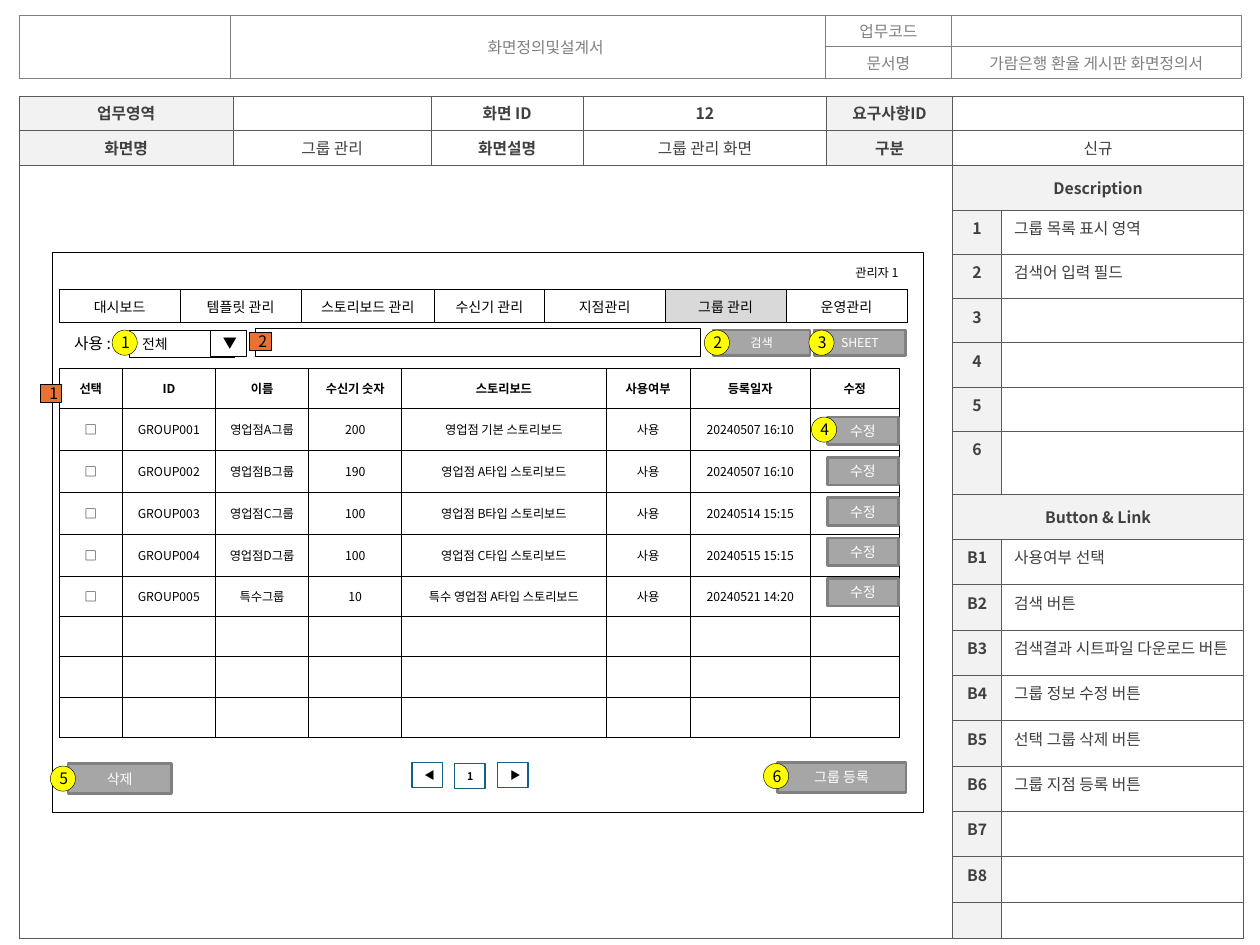
from lxml import etree
from pptx import Presentation
from pptx.dml.color import RGBColor
from pptx.enum.shapes import MSO_SHAPE
from pptx.enum.text import MSO_ANCHOR, PP_ALIGN
from pptx.oxml.ns import qn
from pptx.util import Inches, Pt

RECT, OVAL = MSO_SHAPE.RECTANGLE, MSO_SHAPE.OVAL
TOP, MIDDLE = MSO_ANCHOR.TOP, MSO_ANCHOR.MIDDLE
LEFT, CENTER = PP_ALIGN.LEFT, PP_ALIGN.CENTER
FONT = "Noto Sans CJK KR"
BLACK, WHITE, DARK, GRAY, PALE = "000000", "FFFFFF", "404040", "808080", "F2F2F2"


def rgb(color):
    return RGBColor.from_string(color)


def add_text(tf, text, size, color=BLACK, bold=False, align=CENTER):
    p = tf.paragraphs[0]
    p.alignment = align
    r = p.add_run()
    r.text = text
    r.font.size, r.font.bold, r.font.name = Pt(size), bold, FONT
    r.font.color.rgb = rgb(color)
    etree.SubElement(r._r.get_or_add_rPr(), qn("a:ea"), typeface=FONT)
    return p


def add_border(cell, color, width):
    tc_pr = cell._tc.get_or_add_tcPr()
    for side in ("lnL", "lnR", "lnT", "lnB"):
        ln = etree.SubElement(tc_pr, qn(f"a:{side}"), w=str(Pt(width)))
        fill = etree.SubElement(ln, qn("a:solidFill"))
        etree.SubElement(fill, qn("a:srgbClr"), val=color)


def add_table(s, x, y, cols, rows, line, width):
    """Plain white table with every border drawn and small empty cells."""
    frame = s.shapes.add_table(len(rows), len(cols), Inches(x), Inches(y),
                               Inches(sum(cols)), Inches(sum(rows)))
    table = frame.table
    table.first_row = table.horz_banding = False
    for column, w in zip(table.columns, cols):
        column.width = Inches(w)
    for row, h in zip(table.rows, rows):
        row.height = Inches(h)
    for cell in table.iter_cells():
        add_border(cell, line, width)
        cell.fill.solid()
        cell.fill.fore_color.rgb = rgb(WHITE)
        p = cell.text_frame.paragraphs[0]
        etree.SubElement(p._p, qn("a:endParaRPr"), sz="700")
    return table


def fill_cell(cell, text, size, color=BLACK, bold=False, align=CENTER,
              anchor=MIDDLE, fill=WHITE, flat=False):
    cell.fill.solid()
    cell.fill.fore_color.rgb = rgb(fill)
    cell.vertical_anchor = anchor
    if flat:
        cell.margin_top = cell.margin_bottom = 0
    if text:
        p = cell.text_frame.paragraphs[0]
        for end in p._p.findall(qn("a:endParaRPr")):
            p._p.remove(end)
        return add_text(cell.text_frame, text, size, color, bold, align)


def add_box(s, x, y, w, h, text="", size=8, kind=RECT, fill=WHITE, line=BLACK,
            width=0.5, color=BLACK, bold=False, align=LEFT):
    sp = s.shapes.add_shape(kind, Inches(x), Inches(y), Inches(w), Inches(h))
    sp.shadow.inherit = False
    sp.fill.solid()
    sp.fill.fore_color.rgb = rgb(fill)
    sp.line.color.rgb = rgb(line)
    sp.line.width = Pt(width)
    if text:
        sp.text_frame.vertical_anchor = MIDDLE
        add_text(sp.text_frame, text, size, color, bold, align)


def add_button(s, x, y, w, h, text, size=8):
    add_box(s, x, y, w, h, text, size, fill="A6A6A6", line=GRAY, width=1.5,
            color=WHITE, align=CENTER)


def add_marker(s, x, y, text, area=False):
    """Orange square for an area, yellow circle for a button."""
    w, h, kind, fill = (0.17, 0.14, RECT, "E97132") if area else (0.2, 0.2, OVAL, "FFFF00")
    add_box(s, x, y, w, h, text, 9, kind, fill, width=0.25, align=CENTER)


def add_label(s, x, y, w, h, text, size):
    tf = s.shapes.add_textbox(Inches(x), Inches(y), Inches(w), Inches(h)).text_frame
    tf.word_wrap = False
    add_text(tf, text, size, align=LEFT)


def add_document_header(s):
    table = add_table(s, 0.15, 0.12, [1.68, 4.72, 1, 2.3], [0.25] * 2, GRAY, 0.25)
    for c in (0, 1):
        table.cell(0, c).merge(table.cell(1, c))
    p = fill_cell(table.cell(0, 1), "화면정의및설계서", 9, GRAY, flat=True)
    p._p.get_or_add_pPr().set("marL", str(Inches(0.28)))
    for r, c, text in ((0, 2, "업무코드"), (1, 2, "문서명"),
                       (1, 3, "가람은행 환율 게시판 화면정의서")):
        fill_cell(table.cell(r, c), text, 9, GRAY, flat=True)


def add_specification(s):
    rows = [0.27, 0.28, 0.36] + [0.35] * 5 + [0.5] + [0.36] * 9 + [0.29]
    table = add_table(s, 0.15, 0.76, [1.7, 1.57, 1.21, 1.93, 1, 0.39, 1.92],
                      rows, "595959", 0.25)
    for r in (0, 1, 2, 9):
        table.cell(r, 5).merge(table.cell(r, 6))
    table.cell(2, 0).merge(table.cell(18, 4))

    # Screen information
    info = [["업무영역", "", "화면 ID", "12", "요구사항ID", ""],
            ["화면명", "그룹 관리", "화면설명", "그룹 관리 화면", "구분", "신규"]]
    for r, texts in enumerate(info):
        for c, text in enumerate(texts):
            fill_cell(table.cell(r, c), text, 9, DARK, c % 2 == 0 or r == 0,
                      fill=PALE if c in (0, 4) else WHITE, flat=True)

    # Description and button lists
    sections = [(2, "Description", "", ["그룹 목록 표시 영역", "검색어 입력 필드"], 6),
                (9, "Button & Link", "B",
                 ["사용여부 선택", "검색 버튼", "검색결과 시트파일 다운로드 버튼",
                  "그룹 정보 수정 버튼", "선택 그룹 삭제 버튼", "그룹 지점 등록 버튼"], 8)]
    for top, heading, prefix, notes, count in sections:
        fill_cell(table.cell(top, 5), heading, 9, DARK, True, fill=PALE)
        for i in range(1, count + 1):
            key = table.cell(top + i, 5)
            key.margin_left = key.margin_right = Inches(0.04)
            fill_cell(key, f"{prefix}{i}", 9, DARK, True, anchor=TOP, fill=PALE)
        for i, note in enumerate(notes, 1):
            fill_cell(table.cell(top + i, 6), note, 9, DARK, align=LEFT, anchor=TOP)
    fill_cell(table.cell(18, 5), "", 9, fill=PALE)


def add_menu(s):
    menu = ["대시보드", "템플릿 관리", "스토리보드 관리", "수신기 관리",
            "지점관리", "그룹 관리", "운영관리"]
    table = add_table(s, 0.47, 2.3, [0.96, 0.96, 1.06, 0.87, 0.96, 0.96, 0.96],
                      [0.26], BLACK, 0.5)
    for c, text in enumerate(menu):
        fill_cell(table.cell(0, c), text, 8, anchor=TOP,
                  fill="D9D9D9" if text == "그룹 관리" else WHITE)


def add_group_list(s):
    header = ["선택", "ID", "이름", "수신기 숫자", "스토리보드", "사용여부", "등록일자", "수정"]
    groups = [("영업점A그룹", "200", "영업점 기본 스토리보드", "20240507 16:10"),
              ("영업점B그룹", "190", "영업점 A타입 스토리보드", "20240507 16:10"),
              ("영업점C그룹", "100", "영업점 B타입 스토리보드", "20240514 15:15"),
              ("영업점D그룹", "100", "영업점 C타입 스토리보드", "20240515 15:15"),
              ("특수그룹", "10", "특수 영업점 A타입 스토리보드", "20240521 14:20")]
    rows = [header] + [["□", f"GROUP{i:03}", name, count, board, "사용", date]
                       for i, (name, count, board, date) in enumerate(groups, 1)]
    table = add_table(s, 0.47, 2.92, [0.5, 0.74, 0.74, 0.74, 1.62, 0.67, 0.95, 0.71],
                      [0.32] * 9, BLACK, 0.5)
    for r, texts in enumerate(rows):
        for c, text in enumerate(texts):
            fill_cell(table.cell(r, c), text, 7, bold=r == 0)


def add_controls(s):
    # Paging
    for i, (text, y) in enumerate((("◀", 6.05), ("1", 6.06), ("▶", 6.05))):
        add_box(s, 3.27 + 0.34 * i, y, 0.24, 0.2, text, 6, line="156082",
                width=0.75, bold=True)
    add_button(s, 6.17, 6.05, 1.02, 0.24, "그룹 등록")
    add_button(s, 0.54, 6.06, 0.82, 0.24, "삭제")

    # Search bar
    add_label(s, 0.49, 2.6, 0.53, 0.25, "사용 :", 9)
    add_box(s, 1.03, 2.62, 0.83, 0.22, "전체")
    add_box(s, 1.67, 2.62, 0.29, 0.21, "▼")
    add_box(s, 2.03, 2.61, 3.53, 0.22)
    add_button(s, 5.66, 2.62, 0.77, 0.2, "검색", 7)
    add_button(s, 6.46, 2.62, 0.73, 0.2, "SHEET", 7)

    # One edit button per group
    for i in range(5):
        add_button(s, 6.57, 3.31 + 0.32 * i, 0.56, 0.22, "수정")


def add_markers(s):
    add_marker(s, 0.32, 3.05, "1", area=True)
    spots = [(0.89, 2.62), (5.59, 2.62), (6.42, 2.62), (6.44, 3.31), (0.4, 6.08), (6.06, 6.06)]
    for i, (x, y) in enumerate(spots, 1):
        add_marker(s, x, y, str(i))
    add_marker(s, 1.98, 2.64, "2", area=True)


def main():
    prs = Presentation()
    prs.slide_width, prs.slide_height = Inches(10), Inches(7.5)
    s = prs.slides.add_slide(prs.slide_layouts[6])
    add_document_header(s)
    add_specification(s)
    add_box(s, 0.42, 2, 6.91, 4.45)  # screen frame
    add_menu(s)
    add_label(s, 6.69, 2.06, 0.59, 0.22, "관리자 1", 7)
    add_group_list(s)
    add_controls(s)
    add_markers(s)
    prs.save("out.pptx")


if __name__ == "__main__":
    main()
